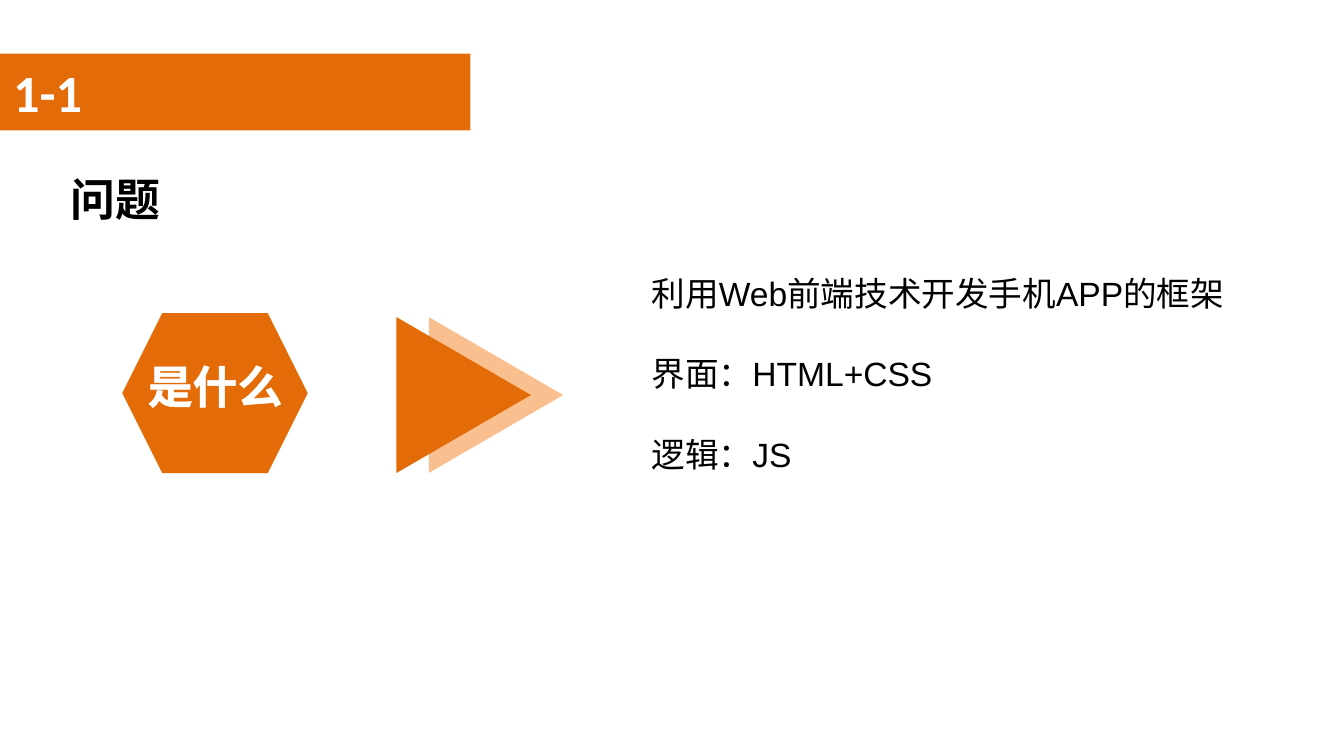
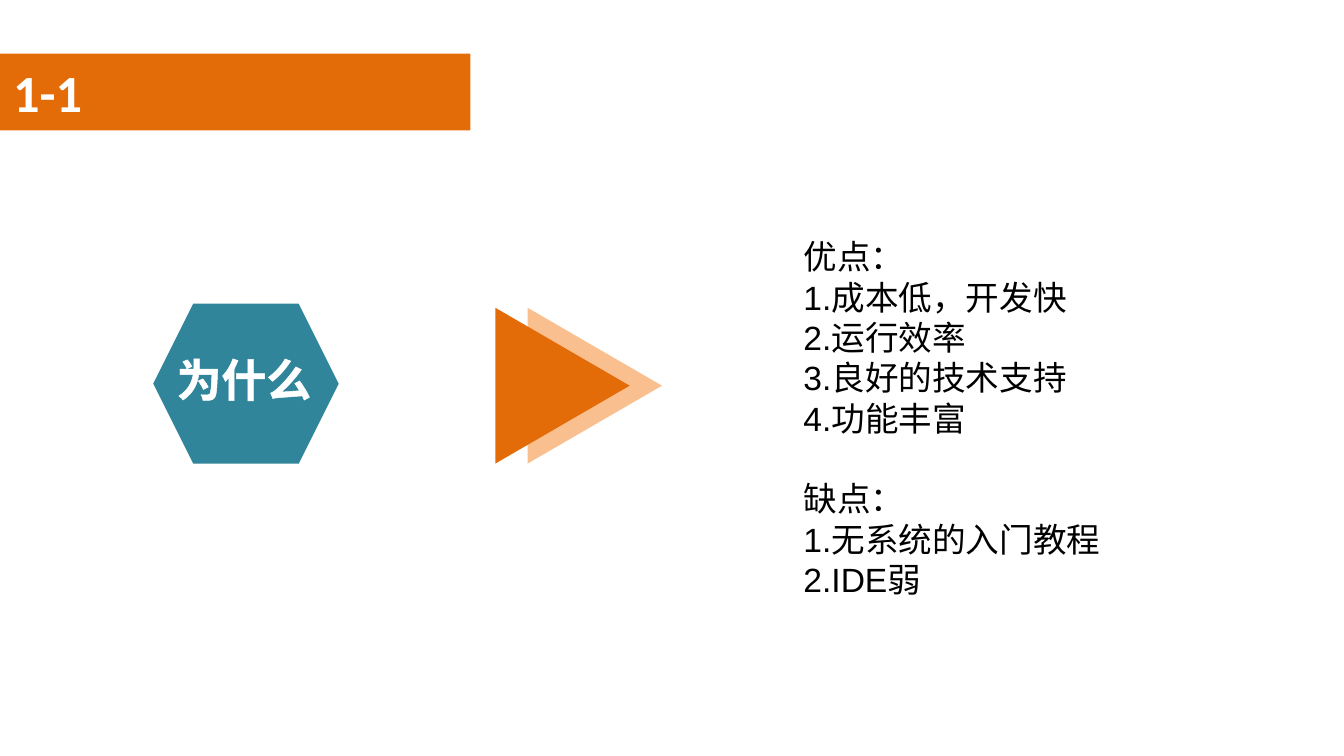
import pptx
import pptx.util
import pptx.dml.color
import pptx.enum.shapes
import pptx.enum.text
import pptx.oxml
import pptx.oxml.ns
import lxml.etree

PX = 4572
COLORS = {
    "white": "FFFFFF",
    "black": "000000",
    "orange": "E36C09",
    "peach": "FABF8E",
    "teal": "31859B",
}
SHAPE = pptx.enum.shapes.MSO_SHAPE
ALIGN = pptx.enum.text.PP_ALIGN
PANEL = (0, 138, 2000, 898)
BAND = (0, 80, 700, 114)
HEXAGON_SIZE = (276, 238)
TRIANGLE_SIZE = (232, 200)
TRIANGLE_STEP = 48
LINE_GAP = 21.6


def emu(box):
    """Turn px lengths into EMU."""
    return [pptx.util.Emu(v * PX) for v in box]


def rgb(name):
    """Return a named colour."""
    return pptx.dml.color.RGBColor.from_string(COLORS[name])


def sub(parent, tag, **attrs):
    """Append a DrawingML element."""
    return lxml.etree.SubElement(parent, pptx.oxml.ns.qn(tag), **attrs)


def add_shape(shapes, kind, box, color):
    """Add a plain filled shape."""
    sp = shapes.add_shape(kind, *emu(box))
    sp.shadow.inherit = False
    sp.fill.solid()
    sp.fill.fore_color.rgb = rgb(color)
    sp.line.fill.background()
    return sp


def add_text(s, box, lines, size, color="black", font="Calibri", bold=True,
             align=ALIGN.LEFT, wrap=True, gaps=()):
    """Add a text box with extra space before the lines listed in gaps."""
    tf = s.shapes.add_textbox(*emu(box)).text_frame
    tf.word_wrap = wrap
    tf.auto_size = pptx.enum.text.MSO_AUTO_SIZE.SHAPE_TO_FIT_TEXT
    for i, line in enumerate(lines):
        p = tf.add_paragraph() if i else tf.paragraphs[0]
        p.alignment = align
        if i in gaps:
            p.space_before = pptx.util.Pt(LINE_GAP)
        r = p.add_run()
        r.text = line
        r.font.size = pptx.util.Pt(size)
        r.font.name = font
        r.font.bold = bold
        r.font.color.rgb = rgb(color)
    return tf


def add_base(prs, number):
    """Add a slide with the pale panel and the numbered band."""
    s = prs.slides.add_slide(prs.slide_layouts[6])
    panel = add_shape(s.shapes, SHAPE.RECTANGLE, PANEL, "white")
    clr = panel.fill._xPr.find(".//" + pptx.oxml.ns.qn("a:srgbClr"))
    sub(clr, "a:alpha", val="50000")
    add_shape(s.shapes, SHAPE.RECTANGLE, BAND, "orange")
    add_text(s, BAND, [number], 28, "white")
    return s


def add_topic(s, x, y, color, label, label_box):
    """Add a hexagon and its outlined label."""
    add_shape(s.shapes, SHAPE.HEXAGON, (x, y, *HEXAGON_SIZE), color)
    tf = add_text(s, label_box, [label], 24, "white", align=ALIGN.CENTER, wrap=False)
    rpr = tf.paragraphs[0].runs[0].font._element
    ln = sub(rpr, "a:ln", w="9525")
    sub(sub(ln, "a:solidFill"), "a:srgbClr", val=COLORS["white"])
    rpr.insert(0, ln)


def add_arrow(s, x, y):
    """Add the pair of overlapping triangles pointing right."""
    group = s.shapes.add_group_shape()
    for dx, color in ((TRIANGLE_STEP, "peach"), (0, "orange")):
        sp = add_shape(group.shapes, SHAPE.ISOSCELES_TRIANGLE,
                       (x + dx, y, *TRIANGLE_SIZE), color)
        sp.rotation = 90


def add_body(s, box, lines, gaps):
    """Add the explanation on the right."""
    add_text(s, box, lines, 18, font="Arial", bold=False, gaps=gaps)


def build_what(prs):
    """Build the slide on what the framework is."""
    s = add_base(prs, "1-1")
    add_text(s, (86, 246, 426, 100), ["问题"], 24)
    add_topic(s, 182, 466, "orange", "是什么", (198, 524, 244, 100))
    add_body(s, (950, 396, 900, 324),
             ["利用Web前端技术开发手机APP的框架", "界面：HTML+CSS", "逻辑：JS"], (1, 2))
    add_arrow(s, 574, 488)


def build_why(prs):
    """Build the slide on strengths and weaknesses."""
    s = add_base(prs, "1-1")
    add_arrow(s, 721, 474)
    add_topic(s, 228, 452, "teal", "为什么", (150, 514, 426, 100))
    add_body(s, (1176, 342, 486, 566),
             ["优点：", "1.成本低，开发快", "2.运行效率", "3.良好的技术支持", "4.功能丰富",
              "缺点：", "1.无系统的入门教程", "2.IDE弱"], (5,))


def main():
    """Build and save the presentation."""
    prs = pptx.Presentation()
    prs.slide_width, prs.slide_height = emu((2000, 1125))
    build_what(prs)
    build_why(prs)
    prs.save("out.pptx")


if __name__ == "__main__":
    main()
